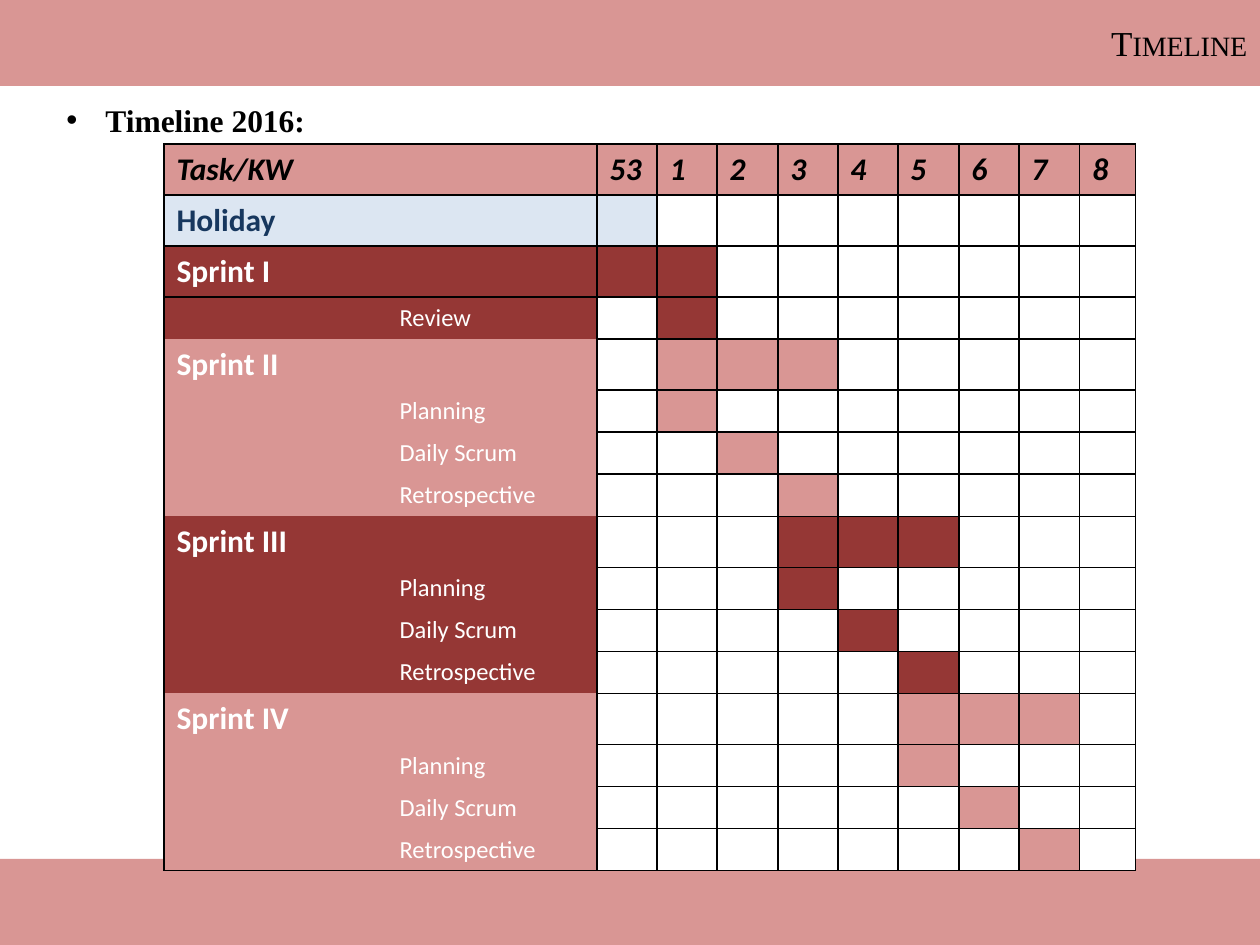
from dataclasses import dataclass
from typing import Optional

from lxml import etree
from pptx import Presentation
from pptx.dml.color import RGBColor
from pptx.enum.shapes import MSO_SHAPE
from pptx.enum.text import MSO_ANCHOR, PP_ALIGN
from pptx.oxml.ns import qn
from pptx.util import Emu, Inches, Pt

RECTANGLE = MSO_SHAPE.RECTANGLE
MIDDLE = MSO_ANCHOR.MIDDLE
RIGHT = PP_ALIGN.RIGHT
TITLE_ONLY = 5
NO_TABLE_STYLE = "{2D5ABB26-0587-4C30-8999-92F81FD0307C}"
PX_PER_INCH = 126


@dataclass(frozen=True)
class Theme:
    rose: str = "D99694"
    maroon: str = "953735"
    ice: str = "DCE6F2"
    navy: str = "17375E"
    black: str = "000000"
    white: str = "FFFFFF"
    serif: str = "Times New Roman"
    sans: str = "Calibri"
    title_size: int = 20
    task_size: int = 18
    step_size: int = 14


THEME = Theme()


@dataclass(frozen=True)
class Task:
    label: str
    first: int
    last: int
    fill: str
    ink: str = THEME.white
    is_step: bool = False
    top_line: bool = False


def step(label: str, week: int, fill: str, top_line: bool = False) -> Task:
    return Task(label, week, week, fill, is_step=True, top_line=top_line)


def sprint(label: str, first: int, fill: str) -> list[Task]:
    steps = [step(name, first + offset, fill) for offset, name in
             enumerate(("Planning", "Daily Scrum", "Retrospective"))]
    return [Task(label, first, first + 2, fill), *steps]


WEEKS = ("53", "1", "2", "3", "4", "5", "6", "7", "8")
TASKS = [
    Task("Holiday", 0, 0, THEME.ice, THEME.navy, top_line=True),
    Task("Sprint I", 0, 1, THEME.maroon, top_line=True),
    step("Review", 1, THEME.maroon, top_line=True),
    *sprint("Sprint II", 1, THEME.rose),
    *sprint("Sprint III", 3, THEME.maroon),
    *sprint("Sprint IV", 5, THEME.rose),
]

BAND_HEIGHT = 86
TABLE_LEFT, TABLE_TOP = 164, 144
LABEL_WIDTHS = (223, 210)
FULL_WEEKS_SPAN, LAST_WEEK_WIDTH = 483, 56
TASK_HEIGHT, STEP_HEIGHT = 51, 42


def px(length: int) -> Emu:
    return Emu(round(length * Inches(1) / PX_PER_INCH))


def place(shape, left: int, top: int, width: int, height: int) -> None:
    shape.left, shape.top = px(left), px(top)
    shape.width, shape.height = px(width), px(height)


def paint(target, color: str) -> None:
    target.fill.solid()
    target.fill.fore_color.rgb = RGBColor.from_string(color)


def add_run(paragraph, text: str, font: str, size: int, color: str,
            bold: bool = False, italic: bool = False):
    run = paragraph.add_run()
    run.text = text
    run.font.name, run.font.size = font, Pt(size)
    run.font.bold, run.font.italic = bold, italic
    run.font.color.rgb = RGBColor.from_string(color)
    return run


def draw_title(slide) -> None:
    title = slide.shapes.title
    place(title, 0, 0, 1260, BAND_HEIGHT)
    paint(title, THEME.rose)
    title.text_frame.vertical_anchor = MIDDLE
    paragraph = title.text_frame.paragraphs[0]
    paragraph.alignment = RIGHT
    run = add_run(paragraph, "Timeline", THEME.serif, THEME.title_size, THEME.black)
    run.font._element.set("cap", "small")


def draw_footer(slide) -> None:
    footer = slide.shapes.add_shape(RECTANGLE, 0, 0, 0, 0)
    place(footer, 0, 945 - BAND_HEIGHT, 1260, BAND_HEIGHT)
    paint(footer, THEME.rose)
    footer.line.fill.background()
    footer.shadow.inherit = False


def draw_heading(slide) -> None:
    heading = slide.shapes.add_textbox(px(54), px(76), px(1121), px(86))
    heading.text_frame.word_wrap = True
    paragraph = heading.text_frame.paragraphs[0]
    paragraph.line_spacing = 1.5
    properties = paragraph._p.get_or_add_pPr()
    properties.set("marL", str(px(39)))
    properties.set("indent", str(-px(39)))
    etree.SubElement(properties, qn("a:buFont")).set("typeface", "Arial")
    etree.SubElement(properties, qn("a:buChar")).set("char", "•")
    add_run(paragraph, "Timeline 2016:", THEME.serif, THEME.task_size,
            THEME.black, bold=True)


def draw_borders(cell, sides: str) -> None:
    properties = cell._tc.get_or_add_tcPr()
    for side in "LRTB":
        line = etree.SubElement(properties, qn(f"a:ln{side}"), w=str(Pt(1)))
        if side in sides:
            color = etree.SubElement(line, qn("a:solidFill"))
            etree.SubElement(color, qn("a:srgbClr")).set("val", THEME.black)
        else:
            etree.SubElement(line, qn("a:noFill"))


def fill_cell(cell, fill: str, sides: str, text: Optional[str] = None,
              ink: str = THEME.black, size: int = THEME.task_size,
              bold: bool = True, italic: bool = False) -> None:
    draw_borders(cell, sides)
    paint(cell, fill)
    paragraph = cell.text_frame.paragraphs[0]
    if text:
        add_run(paragraph, text, THEME.sans, size, ink, bold, italic)
    else:
        ending = etree.SubElement(paragraph._p, qn("a:endParaRPr"))
        ending.set("sz", str(THEME.step_size * 100))


def draw_header_row(table) -> None:
    labels = ("Task/KW", None, *WEEKS)
    for column, label in enumerate(labels):
        sides = ("LTB", "RTB")[column] if column < 2 else "LRTB"
        fill_cell(table.cell(0, column), THEME.rose, sides, label, italic=True)


def draw_task_row(table, row: int, task: Task) -> None:
    closing = ("T" if task.top_line else "")
    if row == len(TASKS) or TASKS[row].top_line:
        closing += "B"
    size = THEME.step_size if task.is_step else THEME.task_size
    for column, side in enumerate("LR"):
        label = task.label if column == int(task.is_step) else None
        fill_cell(table.cell(row, column), task.fill, side + closing, label,
                  task.ink, size, bold=not task.is_step)
    for week in range(len(WEEKS)):
        active = task.first <= week <= task.last
        fill_cell(table.cell(row, week + 2),
                  task.fill if active else THEME.white, "LRTB")


def draw_schedule(slide) -> None:
    full_weeks = len(WEEKS) - 1
    edges = [FULL_WEEKS_SPAN * week // full_weeks for week in range(full_weeks + 1)]
    week_widths = [end - start for start, end in zip(edges, edges[1:])]
    widths = [*LABEL_WIDTHS, *week_widths, LAST_WEEK_WIDTH]
    heights = [TASK_HEIGHT] + [STEP_HEIGHT if task.is_step else TASK_HEIGHT
                               for task in TASKS]
    frame = slide.shapes.add_table(len(heights), len(widths), px(TABLE_LEFT),
                                   px(TABLE_TOP), px(sum(widths)), px(sum(heights)))
    table = frame.table
    table.first_row = table.horz_banding = False
    table._tbl.tblPr.find(qn("a:tableStyleId")).text = NO_TABLE_STYLE
    for column, width in zip(table.columns, widths):
        column.width = px(width)
    for row, height in zip(table.rows, heights):
        row.height = px(height)
    draw_header_row(table)
    for row, task in enumerate(TASKS, start=1):
        draw_task_row(table, row, task)


def main() -> None:
    deck = Presentation()
    deck.slide_width, deck.slide_height = px(1260), px(945)
    slide = deck.slides.add_slide(deck.slide_layouts[TITLE_ONLY])
    draw_title(slide)
    draw_footer(slide)
    draw_heading(slide)
    draw_schedule(slide)
    deck.save("out.pptx")


if __name__ == "__main__":
    main()
